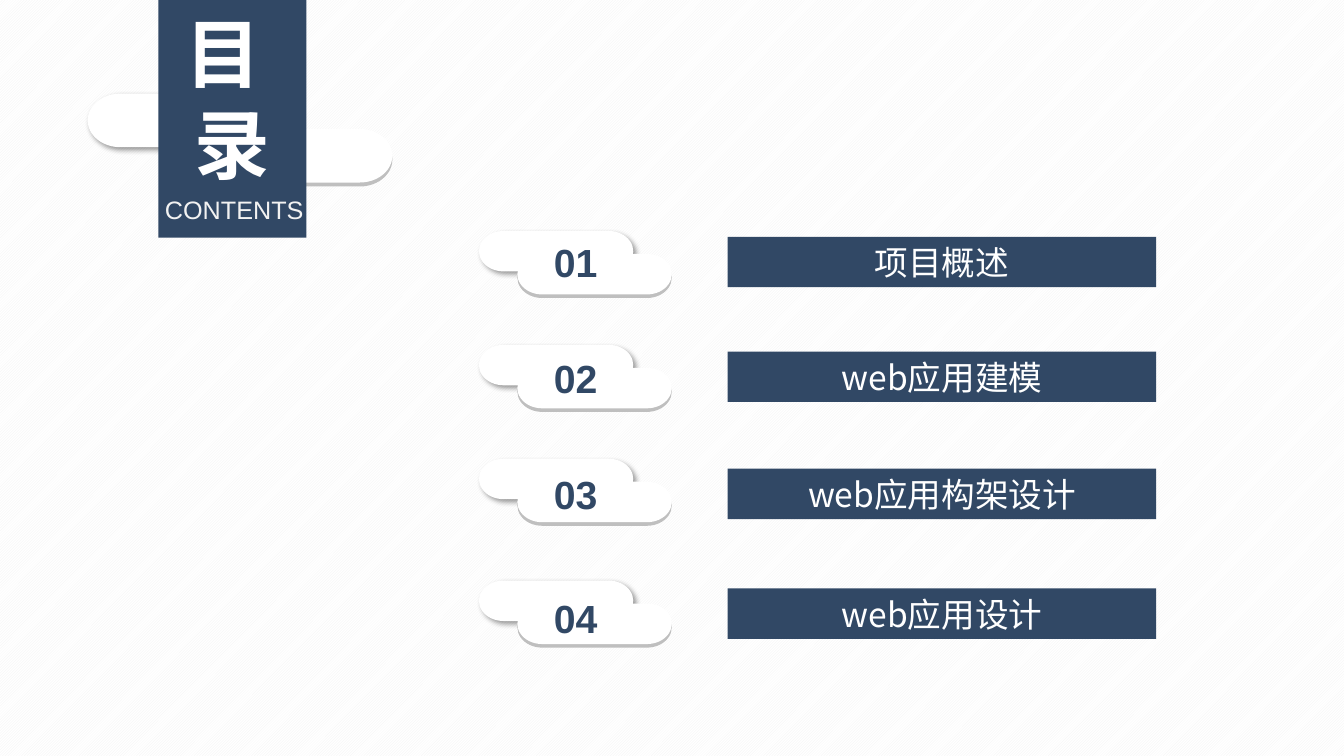
from dataclasses import dataclass

from lxml import etree
from pptx import Presentation
from pptx.dml.color import RGBColor
from pptx.enum.dml import MSO_PATTERN
from pptx.enum.shapes import MSO_SHAPE
from pptx.enum.text import MSO_ANCHOR, MSO_AUTO_SIZE, PP_ALIGN
from pptx.oxml.ns import qn
from pptx.util import Cm, Pt

NAVY = RGBColor(0x31, 0x48, 0x65)
WHITE = RGBColor(0xFF, 0xFF, 0xFF)
PALE = RGBColor(0xF2, 0xF2, 0xF2)
GREY = RGBColor(0xBF, 0xBF, 0xBF)
RECTANGLE = MSO_SHAPE.RECTANGLE
PILL = MSO_SHAPE.FLOWCHART_TERMINATOR
DIAGONAL = MSO_PATTERN.LIGHT_UPWARD_DIAGONAL
CENTER = PP_ALIGN.CENTER
TOP = MSO_ANCHOR.TOP
MIDDLE = MSO_ANCHOR.MIDDLE
NO_RESIZE = MSO_AUTO_SIZE.NONE
LATIN_FONT = "Arial"
CHINESE_FONT = "Noto Sans CJK SC"
TITLE_ONLY = 5

ENTRIES = [
    ("01", "项目概述", 5.82, 5.87, 5.97),
    ("02", "web应用建模", 8.69, 8.81, 8.86),
    ("03", "web应用构架设计", 11.56, 11.73, 11.81),
    ("04", "web应用设计", 14.63, 14.86, 14.83),
]


@dataclass
class Box:
    left: float
    top: float
    width: float
    height: float

    def lengths(self):
        return Cm(self.left), Cm(self.top), Cm(self.width), Cm(self.height)

    def moved(self, right, down):
        return Box(self.left + right, self.top + down, self.width, self.height)


def add_filled(shapes, kind, box, color):
    shape = shapes.add_shape(kind, *box.lengths())
    shape.shadow.inherit = False
    shape.fill.solid()
    shape.fill.fore_color.rgb = color
    shape.line.fill.background()
    return shape


def add_soft_shadow(shape):
    effects = shape.element.spPr.find(qn("a:effectLst"))
    shadow = etree.SubElement(
        effects, qn("a:outerShdw"), blurRad=str(Pt(4)), dist=str(Pt(3)),
        dir="2700000", algn="tl", rotWithShape="0")
    black = etree.SubElement(shadow, qn("a:srgbClr"), val="000000")
    etree.SubElement(black, qn("a:alpha"), val="40000")


def write(shape, lines, size, color, font=LATIN_FONT, bold=False, anchor=MIDDLE, inset=None):
    frame = shape.text_frame
    frame.text = "\n".join(lines)
    frame.word_wrap = True
    frame.auto_size = NO_RESIZE
    frame.vertical_anchor = anchor
    if inset is not None:
        frame.margin_left = frame.margin_right = Cm(inset)
        frame.margin_top = frame.margin_bottom = Cm(inset)
    for para in frame.paragraphs:
        para.alignment = CENTER
        para.font.name = font
        para.font.size = Pt(size)
        para.font.bold = bold
        para.font.color.rgb = color
        for span in para.runs:
            properties = span.font
            properties.name = font
            latin = span._r.rPr.find(qn("a:latin"))
            east_asian = etree.Element(qn("a:ea"), typeface=CHINESE_FONT)
            latin.addnext(east_asian)


def add_cloud(slide, box, right, down, thickness):
    group = slide.shapes.add_group_shape()
    add_filled(group.shapes, PILL, box.moved(right, down + thickness), GREY)
    add_soft_shadow(add_filled(group.shapes, PILL, box, WHITE))
    add_filled(group.shapes, PILL, box.moved(right, down), WHITE)
    return group


def add_heading(slide, box):
    add_cloud(slide, Box(box.left - 1.78, box.top + 2.36, 5.11, 1.35), 2.57, 0.89, 0.1)
    banner = add_filled(slide.shapes, RECTANGLE, box, NAVY)

    title = slide.shapes.title
    banner.element.addnext(title.element)
    title.left, title.top, title.width, title.height = Box(
        box.left, box.top + 0.15, box.width, 4.62).lengths()
    write(title, ["目 ", "录"], 54, WHITE, bold=True, inset=0)
    for para in title.text_frame.paragraphs:
        para.line_spacing = Pt(65)
        para.space_before = Pt(0)

    subtitle = slide.shapes.add_textbox(
        *Box(box.left + 0.05, box.top + 4.9, box.width, 0.76).lengths())
    write(subtitle, ["CONTENTS"], 18, PALE, inset=0)


def add_entries(slide, left):
    for number, label, cloud_top, number_top, bar_top in ENTRIES:
        cloud = add_cloud(slide, Box(left, cloud_top, 3.89, 1.02), 0.97, 0.58, 0.09)
        number_box = cloud.shapes.add_textbox(
            *Box(left + 1.47, number_top, 1.93, 1.45).lengths())
        write(number_box, [number], 28, NAVY, bold=True, anchor=TOP)

        bar = add_filled(slide.shapes, RECTANGLE, Box(left + 6.27, bar_top, 10.8, 1.27), NAVY)
        write(bar, [label], 24, WHITE, font=CHINESE_FONT)


def add_contents_slide(deck):
    slide = deck.slides.add_slide(deck.slide_layouts[TITLE_ONLY])
    background = slide.background.fill
    background.patterned()
    background.pattern = DIAGONAL
    background.fore_color.rgb = PALE
    background.back_color.rgb = WHITE
    add_heading(slide, Box(3.99, 0, 3.73, 5.99))
    add_entries(slide, 12.07)


def main():
    deck = Presentation()
    deck.slide_width = Cm(33.87)
    deck.slide_height = Cm(19.05)
    add_contents_slide(deck)
    deck.save("out.pptx")


if __name__ == "__main__":
    main()
